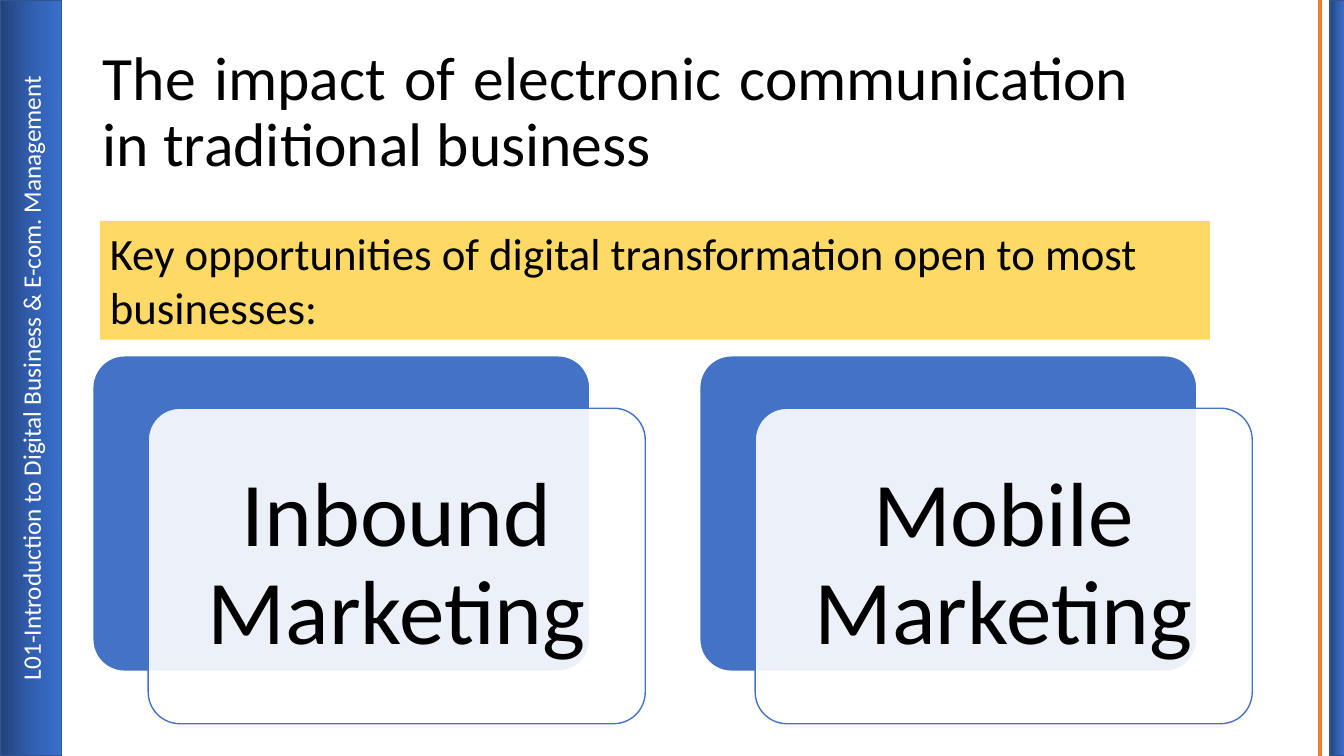
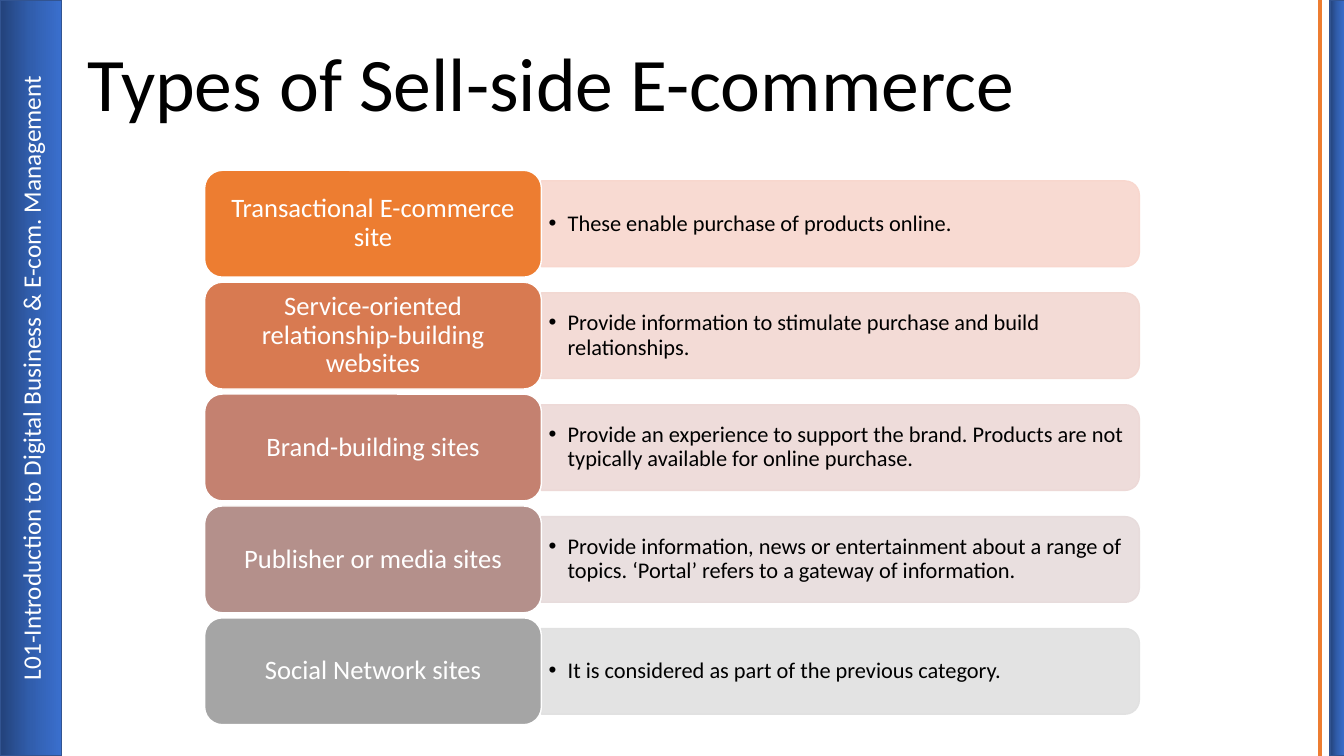
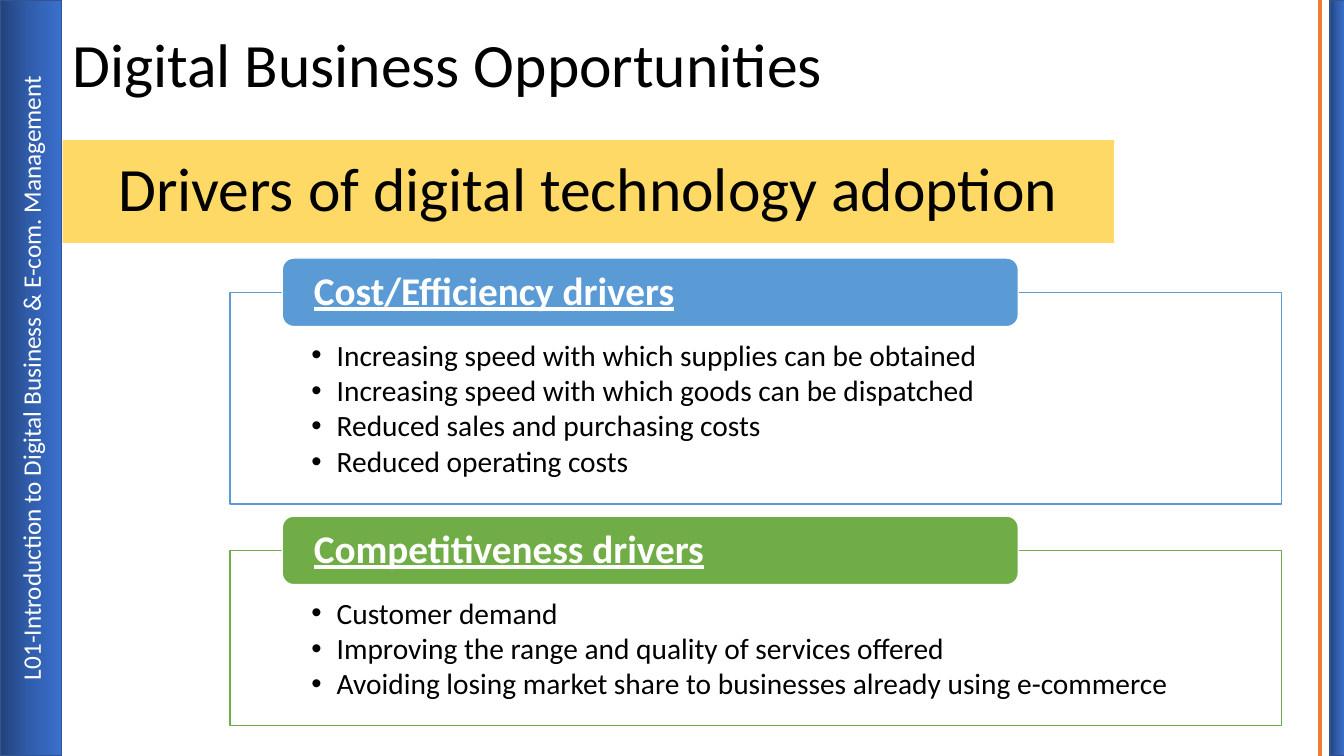
from lxml import etree
from pptx import Presentation
from pptx import util as u
from pptx.dml.color import RGBColor
from pptx.enum import shapes, text
from pptx.oxml.ns import qn

WIDTH, HEIGHT = 13.33, 7.5
FONT = "Calibri"
BLACK = RGBColor(0x00, 0x00, 0x00)
WHITE = RGBColor(0xFF, 0xFF, 0xFF)
BLUE = RGBColor(0x44, 0x72, 0xC4)
SKY = RGBColor(0x5B, 0x9B, 0xD5)
GREEN = RGBColor(0x70, 0xAD, 0x47)
ORANGE = RGBColor(0xED, 0x7D, 0x31)
YELLOW = RGBColor(0xFF, 0xD9, 0x66)
BAR_EDGE = RGBColor(0x32, 0x54, 0x91)
BAR_STOPS = [(0, "23427A"), (50, "315EAD"), (100, "3A6FCE")]

RECT = shapes.MSO_SHAPE.RECTANGLE
ROUND = shapes.MSO_SHAPE.ROUNDED_RECTANGLE
ROUND_TOP = shapes.MSO_SHAPE.ROUND_2_SAME_RECTANGLE
LEFT, CENTER, JUSTIFY = (text.PP_ALIGN.LEFT, text.PP_ALIGN.CENTER,
                         text.PP_ALIGN.JUSTIFY)
TOP, MIDDLE = text.MSO_ANCHOR.TOP, text.MSO_ANCHOR.MIDDLE

COURSE = "L01-Introduction to Digital Business & E-com. Management"

IMPACT_TITLE = "The impact of electronic communication in traditional business"
IMPACT_LEAD = "Key opportunities of digital transformation open to most businesses:"
OPPORTUNITIES = ["Inbound Marketing", "Mobile Marketing"]

TYPES_TITLE = "Types of Sell-side E-commerce"
SITE_TYPES = [
    ("Transactional E-commerce site",
     "These enable purchase of products online.",
     ORANGE, RGBColor(0xF8, 0xD7, 0xCE)),
    ("Service-oriented relationship-building websites",
     "Provide information to stimulate purchase and build relationships.",
     RGBColor(0xD8, 0x7A, 0x51), RGBColor(0xF2, 0xD8, 0xD2)),
    ("Brand-building sites",
     "Provide an experience to support the brand. Products are not typically "
     "available for online purchase.",
     RGBColor(0xC4, 0x81, 0x70), RGBColor(0xED, 0xD9, 0xD7)),
    ("Publisher or media sites",
     "Provide information, news or entertainment about a range of topics. "
     "‘Portal’ refers to a gateway of information.",
     RGBColor(0xB4, 0x90, 0x8B), RGBColor(0xE7, 0xDC, 0xDC)),
    ("Social Network sites",
     "It is considered as part of the previous category.",
     RGBColor(0xA5, 0xA5, 0xA5), RGBColor(0xE1, 0xE1, 0xE1)),
]

DRIVERS_HEADING = "Digital Business Opportunities"
DRIVERS_TITLE = "Drivers of digital technology adoption"
DRIVERS = [
    ("Cost/Efficiency drivers", SKY, 2.9, 2.1,
     ["Increasing speed with which supplies can be obtained",
      "Increasing speed with which goods can be dispatched",
      "Reduced sales and purchasing costs",
      "Reduced operating costs"]),
    ("Competitiveness drivers", GREEN, 5.46, 1.74,
     ["Customer demand",
      "Improving the range and quality of services offered",
      "Avoiding losing market share to businesses already using e-commerce"]),
]


def turned(left, top, width, height):
    """Frame which covers the given area after a quarter turn."""
    shift = (width - height) / 2
    return left + shift, top - shift, height, width


def place(shape, at):
    shape.left, shape.top, shape.width, shape.height = map(u.Inches, at)


def add_box(page, kind, at, fill=None, line=None, opacity=100, rotation=0):
    box = page.shapes.add_shape(kind, *map(u.Inches, at))
    box.shadow.inherit = False
    box.rotation = rotation
    if fill is not None:
        box.fill.solid()
        box.fill.fore_color.rgb = fill
    if opacity < 100:
        color = box.element.spPr.find(qn("a:solidFill")).find(qn("a:srgbClr"))
        etree.SubElement(color, qn("a:alpha"), val=str(opacity * 1000))
    if line is None:
        box.line.fill.background()
    else:
        box.line.color.rgb = line
        box.line.width = u.Pt(1)
    return box


def add_bullet(para, indent):
    props = para._p.get_or_add_pPr()
    props.set("marL", str(u.Inches(indent)))
    props.set("indent", str(-u.Inches(indent)))
    etree.SubElement(props, qn("a:buFont"), typeface="Arial")
    etree.SubElement(props, qn("a:buChar"), char="•")


def write(shape, lines, size, color=BLACK, align=LEFT, anchor=MIDDLE,
          margins=(0.1, 0.05, 0.1, 0.05), spacing=0.9, after=0, indent=None,
          heading=False):
    frame = shape.text_frame
    frame.word_wrap = True
    frame.auto_size = text.MSO_AUTO_SIZE.NONE
    frame.vertical_anchor = anchor
    (frame.margin_left, frame.margin_top,
     frame.margin_right, frame.margin_bottom) = map(u.Inches, margins)
    for number, line in enumerate(lines):
        para = frame.add_paragraph() if number else frame.paragraphs[0]
        if indent:
            add_bullet(para, indent)
        para.alignment = align
        para.line_spacing = spacing
        para.space_before = u.Pt(0)
        para.space_after = u.Pt(after)
        span = para.add_run()
        span.text = line
        span.font.name = FONT
        span.font.size = u.Pt(size)
        span.font.color.rgb = color
        if heading:
            span.font.bold = span.font.underline = True


def add_text(page, at, lines, size, **style):
    box = page.shapes.add_textbox(*map(u.Inches, at))
    write(box, lines, size, **style)


def set_title(page, at, title, size, align=LEFT):
    place(page.shapes.title, at)
    write(page.shapes.title, [title], size, align=align)


def add_bar(page, left, width):
    bar = add_box(page, RECT, turned(left, 0, width, HEIGHT), line=BAR_EDGE,
                  rotation=270)
    bar.fill.gradient()
    bar.fill.gradient_angle = 270
    stops = next(bar.element.iter(qn("a:gsLst")))
    stops[:] = []
    for position, color in BAR_STOPS:
        stop = etree.SubElement(stops, qn("a:gs"), pos=str(position * 1000))
        etree.SubElement(stop, qn("a:srgbClr"), val=color)
    return bar


def decorate_master(deck, page):
    """Draw the side bands on a page, then hand them to the master."""
    rule = page.shapes.add_connector(
        shapes.MSO_CONNECTOR.STRAIGHT,
        *map(u.Inches, (13.09, 0, 13.09, HEIGHT)))
    rule.line.color.rgb = ORANGE
    rule.line.width = u.Pt(3)
    etree.SubElement(rule.element.spPr, qn("a:effectLst"))
    right_bar = add_bar(page, 13.19, 0.15)
    course_bar = add_bar(page, 0, 0.61)
    write(course_bar, [COURSE], 18, WHITE, CENTER, spacing=1)
    for part in (rule, right_bar, course_bar):
        deck.slide_master.shapes.element.append(part.element)


def build_impact(page):
    set_title(page, (0.92, 0.4, 10.39, 1.45), IMPACT_TITLE, 44, JUSTIFY)
    width, height, pitch = 4.93, 3.13, 6.02
    for column, name in enumerate(OPPORTUNITIES):
        left = 0.92 + column * pitch
        back = add_box(page, ROUND, (left, 3.53, width, height), BLUE, WHITE)
        front = add_box(page, ROUND, (left + 0.55, 4.05, width, height),
                        WHITE, BLUE, opacity=90)
        for card in (back, front):
            card.adjustments[0] = 0.1
        write(front, [name], 65, align=CENTER, margins=[0.27] * 4)
    lead = add_box(page, RECT, (0.99, 2.19, 11.01, 1.18), YELLOW)
    write(lead, [IMPACT_LEAD], 32, anchor=TOP, spacing=1)


def build_types(page):
    set_title(page, (0.77, 0.14, 12.48, 1.45), TYPES_TITLE, 54)
    left, width, height, pitch = 2.03, 3.34, 1.06, 1.11
    detail_left, detail_height = left + width, 0.85
    for row, (name, detail, color, tint) in enumerate(SITE_TYPES):
        top = 1.69 + row * pitch
        detail_top = top + (height - detail_height) / 2
        add_box(page, ROUND_TOP,
                turned(detail_left, detail_top, 5.93, detail_height),
                tint, tint, opacity=90, rotation=90)
        add_text(page, (detail_left, detail_top, 5.89, detail_height),
                 [detail], 16, margins=(0.07, 0.03, 0.07, 0.03), indent=0.19)
        label = add_box(page, ROUND, (left, top, width, height), color, WHITE)
        write(label, [name], 19, WHITE, CENTER,
              margins=(0.08, 0.04, 0.08, 0.04))


def build_drivers(page):
    set_title(page, (0.62, 1.39, 10.43, 1.02), DRIVERS_TITLE, 44, CENTER)
    page.shapes.title.fill.solid()
    page.shapes.title.fill.fore_color.rgb = YELLOW
    for name, color, top, height, points in DRIVERS:
        panel = add_box(page, RECT, (2.28, top, 10.43, height), WHITE, color,
                        opacity=90)
        write(panel, points, 21, anchor=TOP, after=2.6, indent=0.25,
              margins=(0.81, 0.48, 0.81, 0.16))
        tab = add_box(page, ROUND, (2.8, top - 0.34, 7.3, 0.68), color, WHITE)
        write(tab, [name], 28, WHITE, margins=(0.28, 0, 0.28, 0), heading=True)
    add_text(page, (0.62, -0.06, 11.5, 1.45), [DRIVERS_HEADING], 44)


def main():
    deck = Presentation()
    deck.slide_width, deck.slide_height = u.Inches(WIDTH), u.Inches(HEIGHT)
    title_only = deck.slide_layouts[5]
    for number, build in enumerate((build_impact, build_types, build_drivers)):
        page = deck.slides.add_slide(title_only)
        if number == 0:
            decorate_master(deck, page)
        build(page)
    deck.save("out.pptx")


if __name__ == "__main__":
    main()
